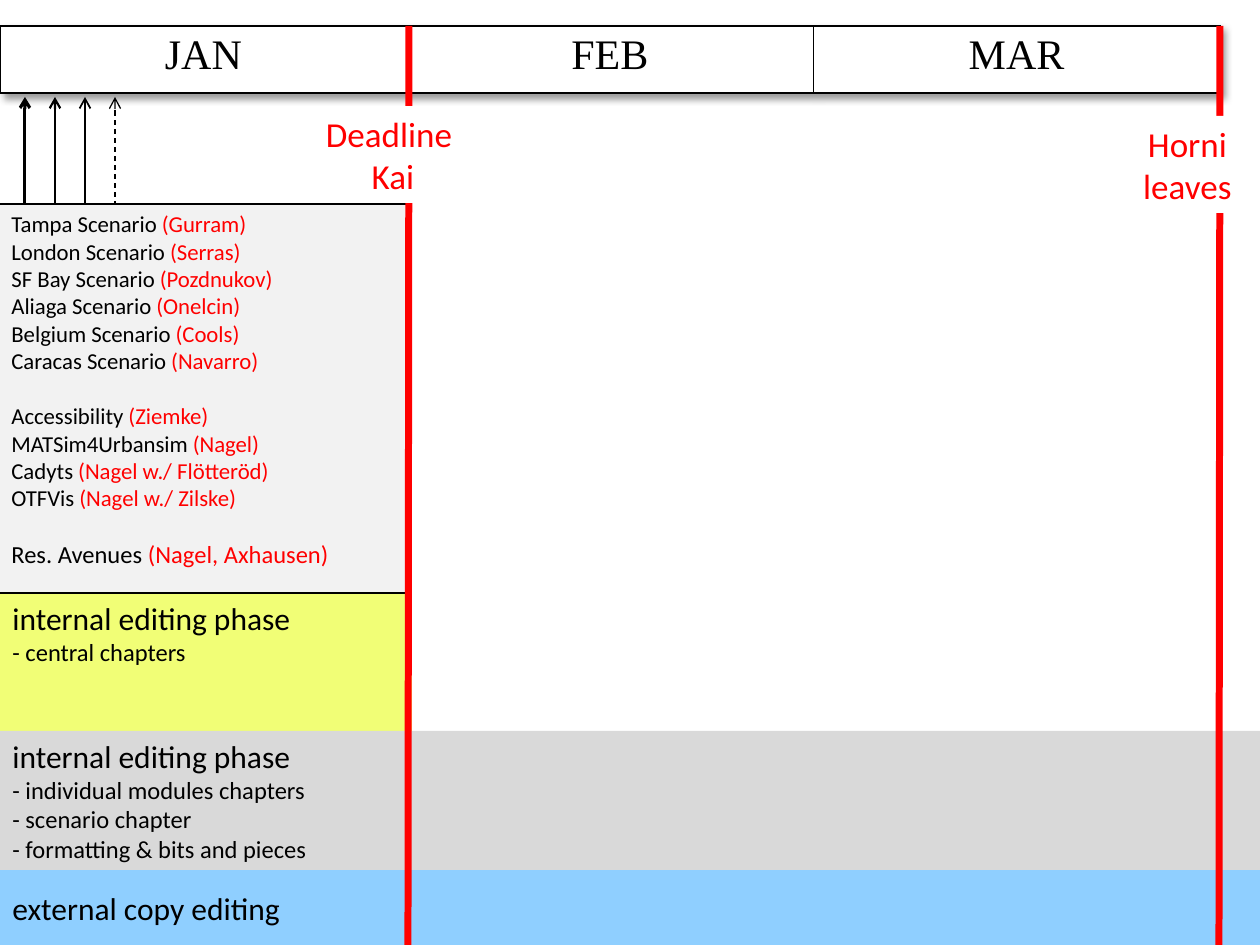
from lxml import etree
from pptx import Presentation
from pptx.dml.color import RGBColor
from pptx.enum.dml import MSO_LINE
from pptx.enum.shapes import MSO_CONNECTOR, MSO_SHAPE
from pptx.enum.text import MSO_ANCHOR, PP_ALIGN
from pptx.oxml import parse_xml
from pptx.oxml.ns import nsdecls, qn
from pptx.util import Pt

PX = 914400 / 126
BLACK = RGBColor(0x00, 0x00, 0x00)
WHITE = RGBColor(0xFF, 0xFF, 0xFF)
RED = RGBColor(0xFF, 0x00, 0x00)
BLUE = RGBColor(0x8F, 0xCF, 0xFF)
YELLOW = RGBColor(0xF1, 0xFE, 0x76)
GREY = RGBColor(0xD9, 0xD9, 0xD9)
PALE = RGBColor(0xF2, 0xF2, 0xF2)
RECT, STRAIGHT, DASH = MSO_SHAPE.RECTANGLE, MSO_CONNECTOR.STRAIGHT, MSO_LINE.DASH
TOP, MIDDLE = MSO_ANCHOR.TOP, MSO_ANCHOR.MIDDLE
LEFT, CENTER = PP_ALIGN.LEFT, PP_ALIGN.CENTER


def px(*values):
    """Turn pixel lengths into EMU."""
    return [round(v * PX) for v in values]


class Timeline:
    """Draws the elements of a schedule on one slide."""

    def __init__(self, prs):
        self.s = prs.slides.add_slide(prs.slide_layouts[6])
        self.font = {"name": "Calibri", "size": Pt(18), "bold": False}

    def add_runs(self, p, runs, color=BLACK, **fmt):
        for text, run_color in runs:
            r = p.add_run()
            r.text = text
            for key, value in {**self.font, **fmt}.items():
                setattr(r.font, key, value)
            r.font.color.rgb = run_color or color

    def box(self, at, fill, lines, color=BLACK, anchor=TOP, align=LEFT, wrap=True, line=None):
        sp = self.s.shapes.add_shape(RECT, *px(*at))
        sp.shadow.inherit = False
        sp.fill.solid()
        sp.fill.fore_color.rgb = fill
        if line:
            sp.line.color.rgb, sp.line.width = BLACK, Pt(line)
        else:
            sp.line.fill.background()
        tf = sp.text_frame
        tf.word_wrap, tf.vertical_anchor = wrap, anchor
        for i, (size, before, runs) in enumerate(lines):
            p = tf.add_paragraph() if i else tf.paragraphs[0]
            p.alignment, p.space_before = align, Pt(before)
            self.add_runs(p, runs, color, size=Pt(size))

    def line(self, start, end, color, width, dash=None, arrow=False):
        c = self.s.shapes.add_connector(STRAIGHT, *px(*start, *end))
        c.line.color.rgb, c.line.width = color, Pt(width)
        if dash:
            c.line.dash_style = dash
        if arrow:
            etree.SubElement(c.line._get_or_add_ln(), qn("a:tailEnd"), type="arrow")
        etree.SubElement(c._element.spPr, qn("a:effectLst"))

    def months(self, at, names):
        table = self.s.shapes.add_table(1, len(names), *px(*at)).table
        table.first_row = table.horz_banding = False
        table._tbl.tblPr.insert(0, parse_xml(
            f'<a:effectLst {nsdecls("a")}><a:outerShdw blurRad="50800" dist="38100" dir="2700000">'
            '<a:srgbClr val="000000"><a:alpha val="40000"/></a:srgbClr></a:outerShdw></a:effectLst>'))
        for cell, name in zip(table.iter_cells(), names):
            for side in ("lnL", "lnR", "lnT", "lnB"):
                cell._tc.get_or_add_tcPr().append(parse_xml(
                    f'<a:{side} {nsdecls("a")} w="12700"><a:solidFill>'
                    f'<a:srgbClr val="{BLACK}"/></a:solidFill></a:{side}>'))
            cell.fill.solid()
            cell.fill.fore_color.rgb = WHITE
            p = cell.text_frame.paragraphs[0]
            p.alignment = CENTER
            self.add_runs(p, [(name, BLACK)], name="Times New Roman", size=Pt(24))


def plain(size, *texts):
    """Return one-colour lines of the same size."""
    return [(size, 0, [(text, None)]) for text in texts]


CHAPTERS = [
    (13, 0, "Tampa Scenario ", "(Gurram)"),
    (13, 0, "London Scenario ", "(Serras)"),
    (13, 0, "SF Bay Scenario ", "(Pozdnukov)"),
    (13, 0, "Aliaga Scenario ", "(Onelcin)"),
    (13, 0, "Belgium Scenario ", "(Cools)"),
    (13, 0, "Caracas Scenario ", "(Navarro)"),
    (13, 16, "Accessibility ", "(Ziemke)"),
    (13, 0, "MATSim4Urbansim ", "(Nagel)"),
    (13, 0, "Cadyts ", "(Nagel w./ Flötteröd)"),
    (13, 0, "OTFVis ", "(Nagel w./ Zilske)"),
    (14, 16, "Res. Avenues ", "(Nagel, Axhausen)"),
]
ARROWS = [(1.75, None), (1.25, None), (1, None), (0.75, DASH)]

prs = Presentation()
prs.slide_width, prs.slide_height = px(1260, 945)
t = Timeline(prs)
t.months((0, 26, 1220, 67), ["JAN", "FEB", "MAR"])
t.box((0, 870, 1260, 75), BLUE, plain(18, "external copy editing"), anchor=MIDDLE)
t.box((0, 593, 412, 138), YELLOW,
      plain(18, "internal editing phase") + plain(14, "- central chapters"))
t.box((0, 731, 1260, 139), GREY, plain(18, "internal editing phase") + plain(
    14, "- individual modules chapters", "- scenario chapter", "- formatting & bits and pieces"))
for i, (width, dash) in enumerate(ARROWS):
    x = 25 + 30 * i
    t.line((x, 224), (x, 97), BLACK, width, dash, arrow=True)
t.box((-1, 204, 408, 389), PALE, line=0.75, lines=[
    (size, before, [(title, BLACK), (author, RED)]) for size, before, title, author in CHAPTERS])
DEADLINES = [
    ((408, 945), (409, 26), (312, 106, 162, 97), ("Deadline ", "Kai")),
    ((1219, 945), (1220, 26), (1130, 116, 115, 97), ("Horni", "leaves")),
]
for start, end, label, texts in DEADLINES:
    t.line(start, end, RED, 4)
    t.box(label, WHITE, plain(20, *texts), RED, MIDDLE, CENTER, wrap=False)
prs.save("out.pptx")
